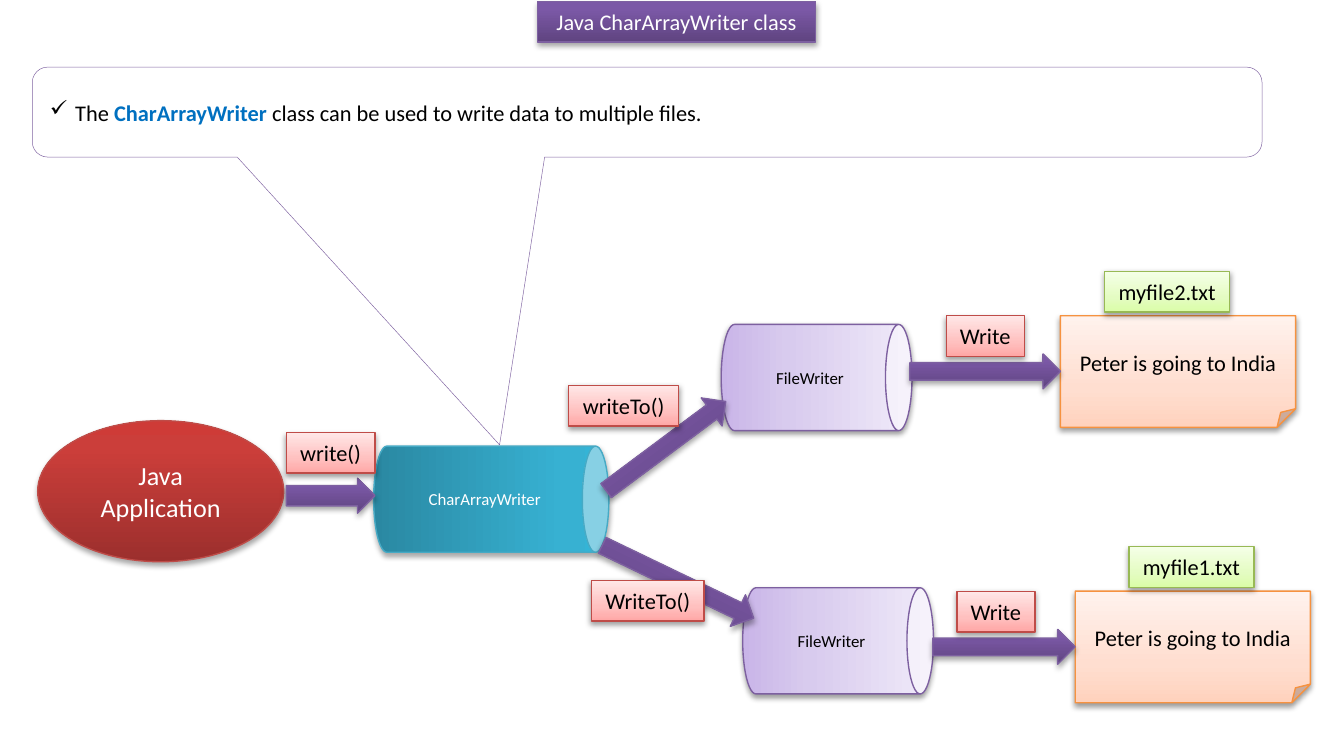
"""Builds a slide showing how CharArrayWriter writes data to multiple files."""
import copy

import lxml.etree
import pptx
import pptx.dml.color
import pptx.enum.shapes
import pptx.enum.text
import pptx.oxml.ns
import pptx.util

Pt = pptx.util.Pt
RGBColor = pptx.dml.color.RGBColor
MSO = pptx.enum.shapes.MSO_SHAPE
ANCHOR = pptx.enum.text.MSO_ANCHOR
ALIGN = pptx.enum.text.PP_ALIGN
qn = pptx.oxml.ns.qn

BLACK = RGBColor(0x00, 0x00, 0x00)
WHITE = RGBColor(0xFF, 0xFF, 0xFF)
BLUE = RGBColor(0x00, 0x70, 0xC0)
VIOLET = RGBColor(0x80, 0x64, 0xA2)
PURPLE_LINE = RGBColor(0x7D, 0x60, 0xA0)
RED_LINE = RGBColor(0xBF, 0x4C, 0x48)
TEAL_LINE = RGBColor(0x46, 0xAA, 0xC5)
ORANGE_LINE = RGBColor(0xF6, 0x92, 0x40)
GREEN_LINE = RGBColor(0x98, 0xB9, 0x55)
PURPLE = [RGBColor(0x5F, 0x44, 0x80), RGBColor(0x7B, 0x58, 0xA6), RGBColor(0x7C, 0x57, 0xA8)]
RED = [RGBColor(0x9C, 0x2F, 0x2D), RGBColor(0xCB, 0x3E, 0x3A), RGBColor(0xCE, 0x3B, 0x37)]
TEAL = [RGBColor(0x2A, 0x88, 0xA2), RGBColor(0x37, 0xB1, 0xD2), RGBColor(0x34, 0xB4, 0xD6)]
LILAC = [RGBColor(0xC9, 0xB5, 0xE8), RGBColor(0xD8, 0xCB, 0xEE), RGBColor(0xF0, 0xEA, 0xF9)]
PINK = [RGBColor(0xFF, 0xA6, 0xA5), RGBColor(0xFF, 0xC0, 0xBF), RGBColor(0xFF, 0xE7, 0xE7)]
PEACH = [RGBColor(0xFF, 0xD2, 0xBD), RGBColor(0xFF, 0xDE, 0xD0), RGBColor(0xFF, 0xF2, 0xED)]
GREEN = [RGBColor(0xDA, 0xFD, 0xA7), RGBColor(0xE4, 0xFC, 0xC2), RGBColor(0xF5, 0xFF, 0xE7)]
STRONG = (PURPLE, RED, TEAL)
LABEL_H = 21.8
ARROW_H = 18.7


def write(p, text, size=12, color=BLACK, bold=False):
    r = p.add_run()
    r.text = text
    r.font.name = "Calibri"
    r.font.size = Pt(size)
    r.font.bold = bold
    r.font.color.rgb = color


def add(kind, box, colors, line, text="", rotation=0, size=12, label=False):
    s = slide.shapes.add_shape(kind, *map(Pt, box))
    s.rotation = rotation
    strong = colors in STRONG
    s.fill.gradient()
    s.fill.gradient_angle = 90
    stops = s._element.xpath(".//a:gsLst")[0]
    stops.insert(1, copy.deepcopy(stops[0]))
    for stop, pos, color in zip(s.fill.gradient_stops, (0, 0.8 if strong else 0.35, 1), colors):
        stop.position = pos
        stop.color.rgb = color
    s.line.color.rgb = line
    s.line.width = Pt(0.75)
    s.shadow.inherit = False
    shadow = lxml.etree.SubElement(
        s._element.spPr.find(qn("a:effectLst")), qn("a:outerShdw"),
        blurRad=str(Pt(3.1)), dist=str(Pt(1.8 if strong else 1.6)), dir="5400000", rotWithShape="0")
    black = lxml.etree.SubElement(shadow, qn("a:srgbClr"), val=str(BLACK))
    lxml.etree.SubElement(black, qn("a:alpha"), val="35000" if strong else "38000")
    if text:
        tf = s.text_frame
        tf.word_wrap = not label
        tf.vertical_anchor = ANCHOR.TOP if label else ANCHOR.MIDDLE
        if label:
            tf.auto_size = pptx.enum.text.MSO_AUTO_SIZE.SHAPE_TO_FIT_TEXT
        if kind == MSO.CAN:
            tf._txBody.bodyPr.set("vert", "vert270")
        p = tf.paragraphs[0]
        p.alignment = ALIGN.CENTER
        write(p, text, size=size, color=WHITE if strong else BLACK)
    return s


prs = pptx.Presentation()
prs.slide_width, prs.slide_height = Pt(720), Pt(396)
slide = prs.slides.add_slide(prs.slide_layouts[6])

add(MSO.RECTANGLE, (288, 0.7, 149, LABEL_H), PURPLE, PURPLE_LINE, "Java CharArrayWriter class", label=True)
add(MSO.OVAL, (20.2, 225.4, 131.8, 75.6), RED, RED_LINE, "Java Application", size=14)
add(MSO.CAN, (234.7, 204.5, 56.9, 126), TEAL, TEAL_LINE, "CharArrayWriter", rotation=90, size=9)

for can_x, can_y, arrow_x, write_x, note_x, note_y, file_x, name in (
    (420.5, 292.3, 499.7, 512.6, 576, 316.8, 604.8, "myfile1.txt"),
    (409, 151.2, 487.4, 506.9, 568.1, 169.2, 591.8, "myfile2.txt"),
):
    add(MSO.CAN, (can_x, can_y, 56.9, 102.2), LILAC, PURPLE_LINE, "FileWriter", rotation=90, size=9)
    add(MSO.FOLDED_CORNER, (note_x, note_y, 126, 59.8), PEACH, ORANGE_LINE, "Peter is going to India")
    add(MSO.RECTANGLE, (file_x, note_y - 23.8, 67, LABEL_H), GREEN, GREEN_LINE, name, label=True)
    add(MSO.RIGHT_ARROW, (arrow_x, note_y + 20.5, note_x - arrow_x, ARROW_H), PURPLE, PURPLE_LINE)
    add(MSO.RECTANGLE, (write_x, note_y, 41.8, LABEL_H), PINK, RED_LINE, "Write", label=True)

for x, y, w, rotation, shaft in (
    (153.4, 256.3, 47.5, 0, 0.58),
    (316.8, 229.7, 79.9, 323.3, 0.5),
    (318.2, 302.4, 90, 25.7, 0.5),
):
    s = add(MSO.RIGHT_ARROW, (x, y, w, ARROW_H), PURPLE, PURPLE_LINE, rotation=rotation)
    s.adjustments[0] = shaft

for x, y, w, text in (
    (153.4, 231.8, 47.5, "write()"),
    (316.8, 311, 60.5, "WriteTo()"),
    (304.6, 206.6, 59, "writeTo()"),
):
    add(MSO.RECTANGLE, (x, y, w, LABEL_H), PINK, RED_LINE, text, label=True)

s = slide.shapes.add_shape(MSO.ROUNDED_RECTANGULAR_CALLOUT, Pt(17.3), Pt(36), Pt(658.8), Pt(48.2))
for i, value in enumerate((-0.12, 3.7, 0.17)):
    s.adjustments[i] = value
s.shadow.inherit = False
s.fill.solid()
s.fill.fore_color.rgb = WHITE
s.line.color.rgb = VIOLET
s.line.width = Pt(0.25)
tf = s.text_frame
tf.word_wrap = True
tf.vertical_anchor = ANCHOR.MIDDLE
p = tf.paragraphs[0]
p.alignment = ALIGN.LEFT
pPr = p._p.get_or_add_pPr()
pPr.set("marL", str(Pt(13.5)))
pPr.set("indent", str(Pt(-13.5)))
lxml.etree.SubElement(pPr, qn("a:buChar"), char="✓")
write(p, "The ")
write(p, "CharArrayWriter", color=BLUE, bold=True)
write(p, " class can be used to write data to multiple files.")

prs.save("out.pptx")
